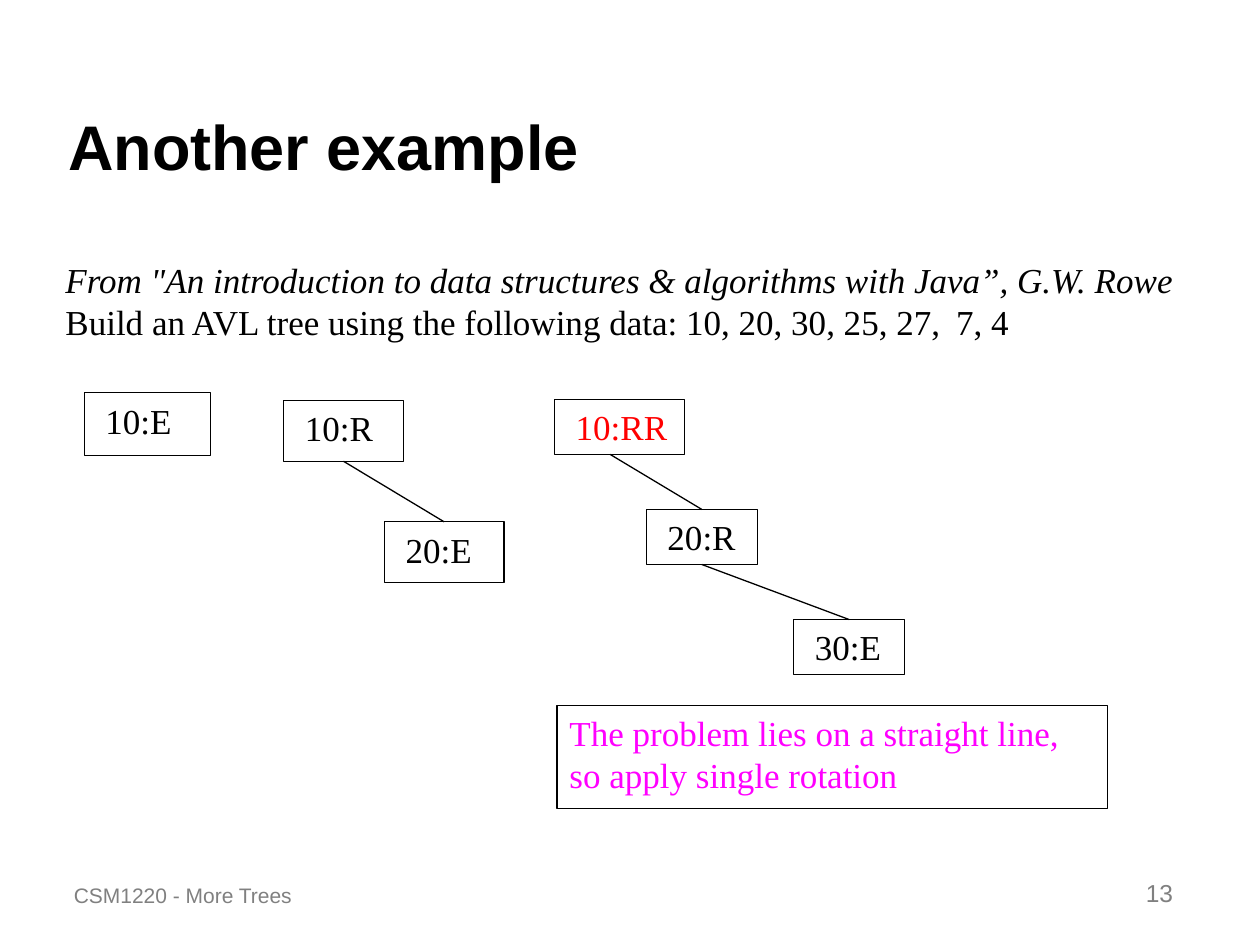
from lxml.etree import SubElement
from pptx import Presentation
from pptx.dml.color import RGBColor
from pptx.enum.shapes import MSO_CONNECTOR as Connector, MSO_SHAPE as Shape
from pptx.enum.text import MSO_ANCHOR as Anchor, MSO_AUTO_SIZE as AutoSize, PP_ALIGN as Align
from pptx.oxml.ns import qn
from pptx.util import Cm, Pt

BLACK, WHITE, RED, MAGENTA, GREY = "000000", "FFFFFF", "FF0000", "FF00FF", "808080"
SERIF, SANS = "Times New Roman", "Arial"


def color(value):
    return RGBColor.from_string(value)


class TreeSlide:
    body = {"name": SERIF, "size": Pt(20), "bold": False, "italic": False}
    heading = {"name": SANS, "size": Pt(36), "bold": True, "italic": False}
    line_width = Pt(0.75)

    def __init__(self, deck):
        self.slide = deck.slides.add_slide(deck.slide_layouts[5])
        self.shapes = self.slide.shapes

    def fill_text(self, frame, lines, tint=BLACK, style=None, align=Align.LEFT,
                  anchor=Anchor.TOP, before=0):
        """Each line is a text and a dict of what differs from the style."""
        frame.word_wrap = True
        frame.auto_size = AutoSize.NONE
        frame.vertical_anchor = anchor
        for number, (text, changes) in enumerate(lines):
            paragraph = frame.add_paragraph() if number else frame.paragraphs[0]
            paragraph.alignment = align
            paragraph.space_before = Pt(before)
            run = paragraph.add_run()
            run.text = text
            for key, value in {**(style or self.body), **changes}.items():
                setattr(run.font, key, value)
            run.font.color.rgb = color(tint)

    def title(self, text, left, top, width, height):
        holder = self.shapes.title
        place = {"left": left, "top": top, "width": width, "height": height}
        for key, value in place.items():
            setattr(holder, key, Cm(value))
        self.fill_text(holder.text_frame, [(text, {})], style=self.heading,
                       anchor=Anchor.BOTTOM)

    def text(self, lines, box, **options):
        holder = self.shapes.add_textbox(*map(Cm, box))
        self.fill_text(holder.text_frame, lines, **options)

    def box(self, text, box, tint=BLACK, parent=None):
        rect = (parent or self).shapes.add_shape(Shape.RECTANGLE, *map(Cm, box))
        rect.shadow.inherit = False
        rect.fill.solid()
        rect.fill.fore_color.rgb = color(WHITE)
        rect.line.color.rgb = color(BLACK)
        rect.line.width = self.line_width
        self.fill_text(rect.text_frame, [(text, {})], tint)

    def edge(self, start, end, parent):
        link = parent.shapes.add_connector(Connector.STRAIGHT, *map(Cm, start + end))
        link.line.color.rgb = color(BLACK)
        link.line.width = self.line_width
        SubElement(link._element.spPr, qn("a:effectLst"))

    def chain(self, nodes, top, height):
        """Tree of right children; the gap between levels equals the node height."""
        group = self.shapes.add_group_shape()
        previous = None
        for level, (text, left, width, tint) in enumerate(nodes):
            y = top + 2 * height * level
            self.box(text, (left, y, width, height), tint, group)
            if previous is not None:
                half = width / 2
                self.edge((previous + half, y - height), (left + half, y), group)
            previous = left


def main():
    deck = Presentation()
    deck.slide_width, deck.slide_height = Cm(25.4), Cm(19.05)
    page = TreeSlide(deck)

    # Title and task
    page.title("Another example", 1.12, 0.64, 23.01, 3.18)
    page.text([
        ('From "An introduction to data structures & algorithms with Java”, G.W. Rowe',
         {"italic": True}),
        ("Build an AVL tree using the following data: 10, 20, 30, 25, 27,\t 7, 4", {}),
    ], (1.07, 5.08, 23.5, 1.96))

    # Tree after each insertion
    page.box(" 10:E", (1.7, 7.92, 2.54, 1.27))
    page.chain([(" 10:R", 5.72, 2.41, BLACK), (" 20:E", 7.75, 2.41, BLACK)], 8.08, 1.22)
    page.chain([(" 10:RR", 11.18, 2.62, RED), (" 20:R", 13.03, 2.24, BLACK),
                (" 30:E", 16, 2.24, BLACK)], 8.05, 1.11)

    # Conclusion
    page.box("The problem lies on a straight line, so apply single rotation",
             (11.23, 14.22, 11.1, 2.08), MAGENTA)

    # Footer and page number
    small = {"name": SANS, "size": Pt(12)}
    page.text([("CSM1220 - More Trees", {})], (1.24, 17.15, 7.62, 1.27),
              tint=GREY, style=small, anchor=Anchor.BOTTOM, before=7.5)
    page.text([("13", {"size": Pt(14)})], (18.62, 17.15, 5.28, 1.27), tint=GREY,
              style=small, align=Align.RIGHT, anchor=Anchor.BOTTOM, before=8.8)

    deck.save("out.pptx")


if __name__ == "__main__":
    main()
